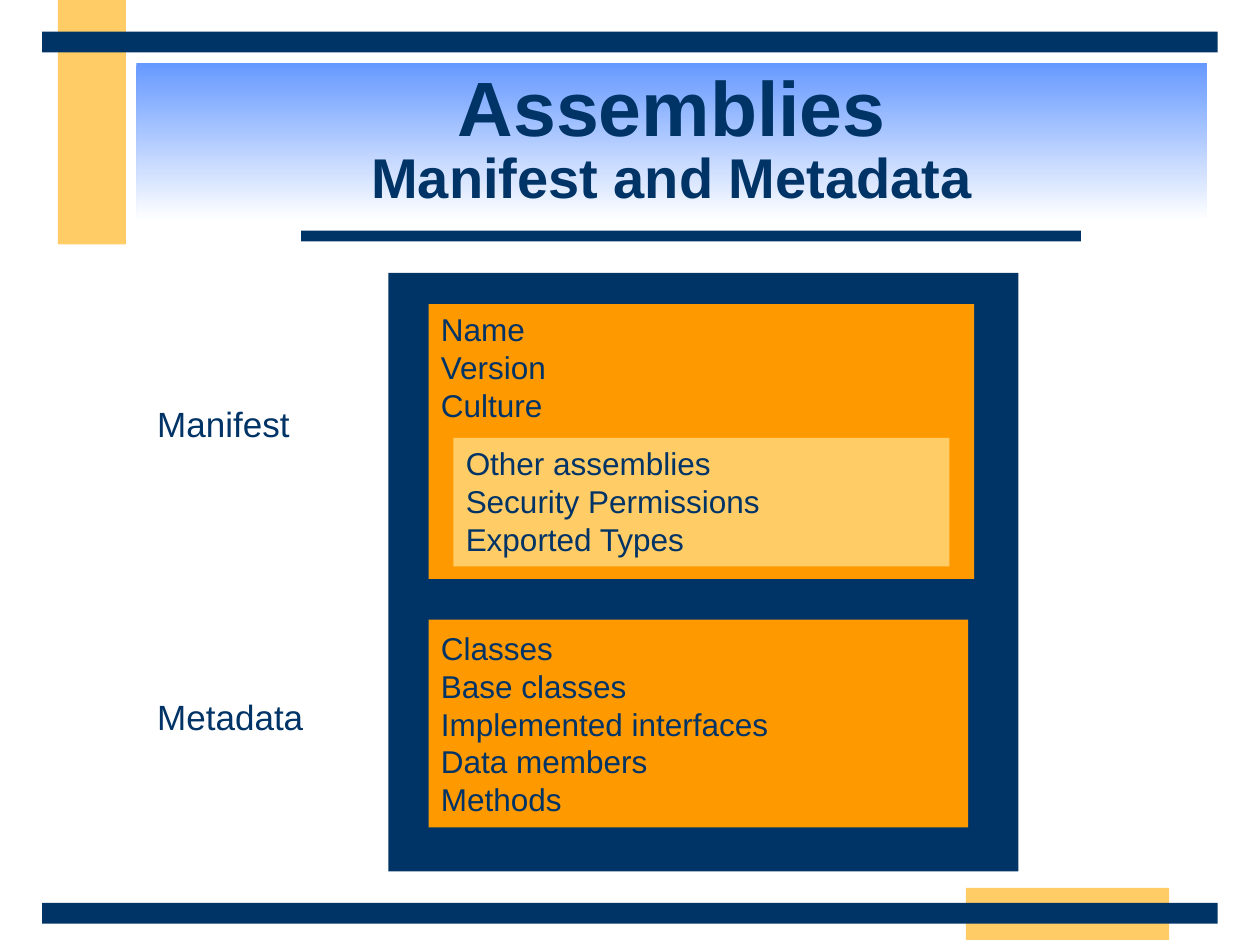
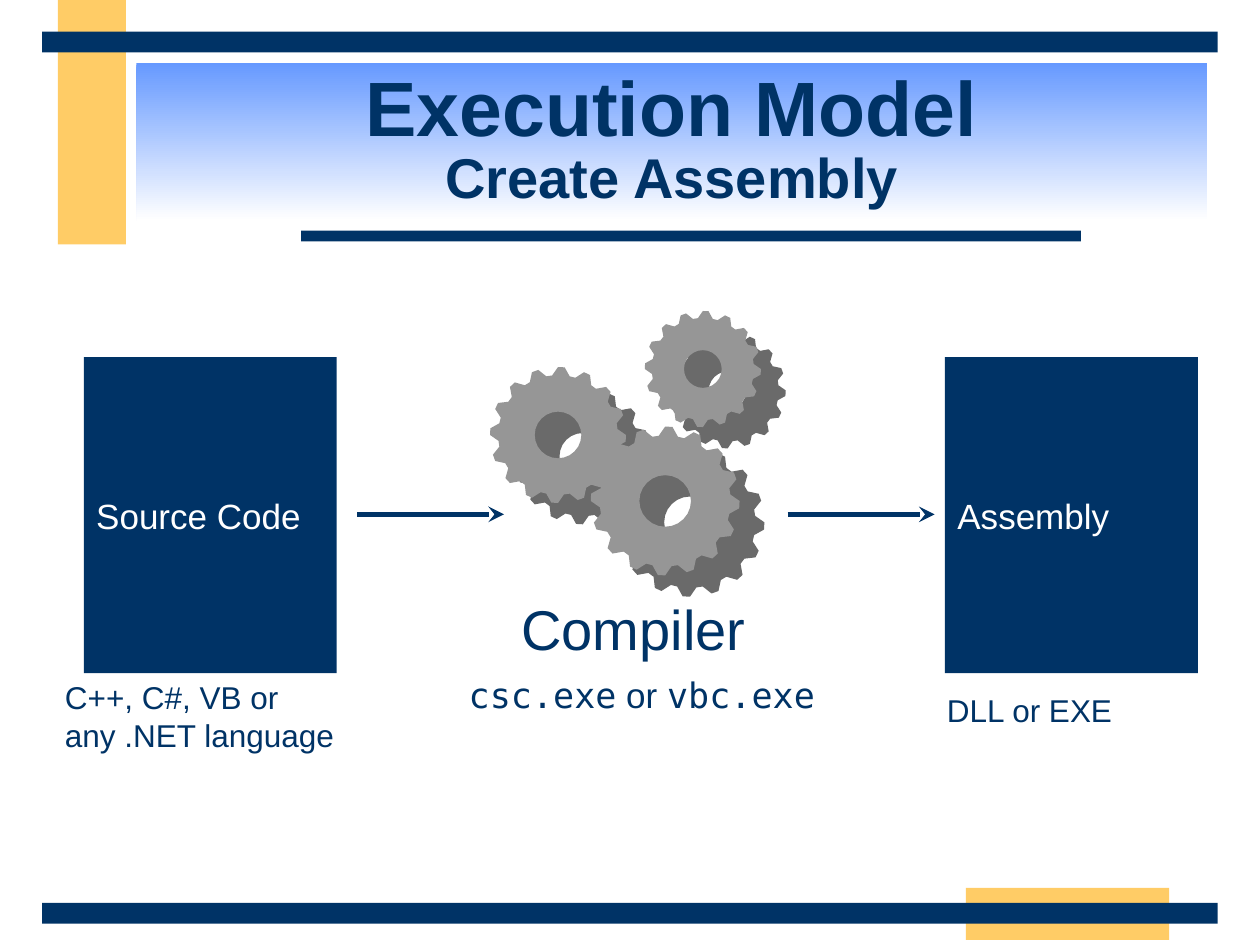
import math

from lxml import etree
from pptx import Presentation
from pptx import util as u
from pptx.dml.color import RGBColor
from pptx.enum import shapes, text
from pptx.oxml import ns

NAVY = RGBColor(0x00, 0x33, 0x66)
SAND = RGBColor(0xFF, 0xCC, 0x66)
ORANGE = RGBColor(0xFF, 0x99, 0x00)
SKY = RGBColor(0x66, 0x99, 0xFF)
WHITE = RGBColor(0xFF, 0xFF, 0xFF)
GEAR_FACE = RGBColor(0x96, 0x96, 0x96)
GEAR_SIDE = RGBColor(0x6A, 0x6A, 0x6A)
SANS = "Arial"
MONO = "DejaVu Sans Mono"
TEETH = 16
GEAR_DEPTH = (0.5, 0.43)


def lengths(*values):
    return [u.Cm(value) for value in values]


def style_run(run, size, color=NAVY, font=SANS, bold=False):
    run.font.size = u.Pt(size)
    run.font.color.rgb = color
    run.font.name = font
    run.font.bold = bold


def write(frame, content, size, color=NAVY, anchor=text.MSO_ANCHOR.TOP):
    frame.word_wrap = True
    frame.vertical_anchor = anchor
    frame.text = content
    for paragraph in frame.paragraphs:
        paragraph.alignment = text.PP_ALIGN.LEFT
        for run in paragraph.runs:
            style_run(run, size, color)


def paint(part, color):
    part.shadow.inherit = False
    part.fill.solid()
    part.fill.fore_color.rgb = color
    part.line.fill.background()


def add_block(slide, box, color):
    block = slide.shapes.add_shape(shapes.MSO_SHAPE.RECTANGLE, *lengths(*box))
    paint(block, color)
    return block


def add_text_block(slide, box, color, content, size=18, text_color=NAVY,
                   anchor=text.MSO_ANCHOR.TOP):
    block = add_block(slide, box, color)
    write(block.text_frame, content, size, text_color, anchor)


def add_label(slide, box, content, size):
    label = slide.shapes.add_textbox(*lengths(*box))
    write(label.text_frame, content, size)
    return label


def add_command_label(slide, box, parts):
    paragraph = add_label(slide, box, "", 20).text_frame.paragraphs[0]
    for words, font in parts:
        run = paragraph.add_run()
        run.text = words
        style_run(run, 20, font=font)


def add_arrow(slide, left, right, y):
    arrow = slide.shapes.add_connector(
        shapes.MSO_CONNECTOR.STRAIGHT, *lengths(left, y, right, y))
    arrow.line.color.rgb = NAVY
    arrow.line.width = u.Pt(3)
    line = arrow.line._get_or_add_ln()
    etree.SubElement(line, ns.qn("a:tailEnd"), type="stealth")
    etree.SubElement(arrow._element.spPr, ns.qn("a:effectLst"))


def ring(x, y, radii):
    return [(u.Cm(x + radius * math.cos(math.tau * step / len(radii))),
             u.Cm(y + radius * math.sin(math.tau * step / len(radii))))
            for step, radius in enumerate(radii)]


def add_gear_layer(slide, x, y, radius, hole, color):
    root = radius * 0.88
    rim = ring(x, y, [radius, radius, root, root] * TEETH)
    bore = ring(x, y, [hole] * 24)[::-1]
    outline = slide.shapes.build_freeform(*rim[0], scale=1.0)
    outline.add_line_segments(rim[1:])
    outline.move_to(*bore[0])
    outline.add_line_segments(bore[1:])
    paint(outline.convert_to_shape(), color)


def add_gear(slide, x, y, radius, hole):
    depth_x, depth_y = GEAR_DEPTH
    add_gear_layer(slide, x + depth_x, y + depth_y, radius, hole, GEAR_SIDE)
    add_gear_layer(slide, x, y, radius, hole, GEAR_FACE)


def add_title(slide, heading, subheading):
    banner = add_block(slide, (2.75, 1.27, 21.59, 3.18), SKY)
    banner.fill.gradient()
    banner.fill.gradient_angle = 270
    for stop, color in zip(banner.fill.gradient_stops, (SKY, WHITE)):
        stop.color.rgb = color
    write(banner.text_frame, f"{heading}\v{subheading}", 44,
          anchor=text.MSO_ANCHOR.MIDDLE)
    paragraph = banner.text_frame.paragraphs[0]
    paragraph.alignment = text.PP_ALIGN.CENTER
    paragraph.line_spacing = 0.85
    for run, size in zip(paragraph.runs, (44, 32)):
        style_run(run, size, bold=True)


def add_framed_slide(deck, heading, subheading):
    slide = deck.slides.add_slide(deck.slide_layouts[6])
    add_block(slide, (1.17, 0, 1.37, 4.93), SAND)
    add_block(slide, (19.47, 17.9, 4.1, 1.05), SAND)
    add_block(slide, (6.07, 4.65, 15.72, 0.22), NAVY)
    for top in (18.2, 0.64):
        add_block(slide, (0.85, top, 23.7, 0.42), NAVY)
    add_title(slide, heading, subheading)
    return slide


def build_manifest_slide(deck):
    slide = add_framed_slide(deck, "Assemblies", "Manifest and Metadata")
    add_block(slide, (7.83, 5.5, 12.7, 12.07), NAVY)
    add_text_block(slide, (8.64, 12.49, 10.88, 4.19), ORANGE,
                   "Classes\nBase classes\nImplemented interfaces\nData members\nMethods",
                   anchor=text.MSO_ANCHOR.MIDDLE)
    add_text_block(slide, (8.64, 6.13, 11, 5.54), ORANGE, "Name\nVersion\nCulture")
    add_text_block(slide, (9.14, 8.83, 10, 2.59), SAND,
                   "Other assemblies\nSecurity Permissions\nExported Types")
    for top, name in ((7.98, "Manifest"), (13.89, "Metadata")):
        add_label(slide, (2.92, top, 3.6, 1.09), name, 20)


def build_execution_slide(deck):
    slide = add_framed_slide(deck, "Execution Model", "Create Assembly")
    for left, name in ((1.69, "Source Code"), (19.05, "Assembly")):
        add_text_block(slide, (left, 7.2, 5.1, 6.37), NAVY, name, 20, WHITE,
                       text.MSO_ANCHOR.MIDDLE)
    add_label(slide, (1.06, 13.55, 6.35, 1.78), "C++, C#, VB or\vany .NET language", 18)
    add_label(slide, (18.84, 13.8, 5.5, 1.02), "DLL or EXE", 18)
    add_gear(slide, 14.17, 7.44, 1.17, 0.38)
    add_gear(slide, 11.25, 8.77, 1.37, 0.47)
    add_gear(slide, 13.41, 10.1, 1.5, 0.52)
    add_label(slide, (10.26, 11.86, 5.4, 1.6), "Compiler", 32)
    add_command_label(slide, (9.2, 13.46, 8, 1.09),
                      (("csc.exe", MONO), (" or ", SANS), ("vbc.exe", MONO)))
    for left in (7.2, 15.88):
        add_arrow(slide, left, left + 2.96, 10.37)


def main():
    deck = Presentation()
    deck.slide_width, deck.slide_height = lengths(25.4, 19.05)
    build_manifest_slide(deck)
    build_execution_slide(deck)
    deck.save("out.pptx")


if __name__ == "__main__":
    main()
